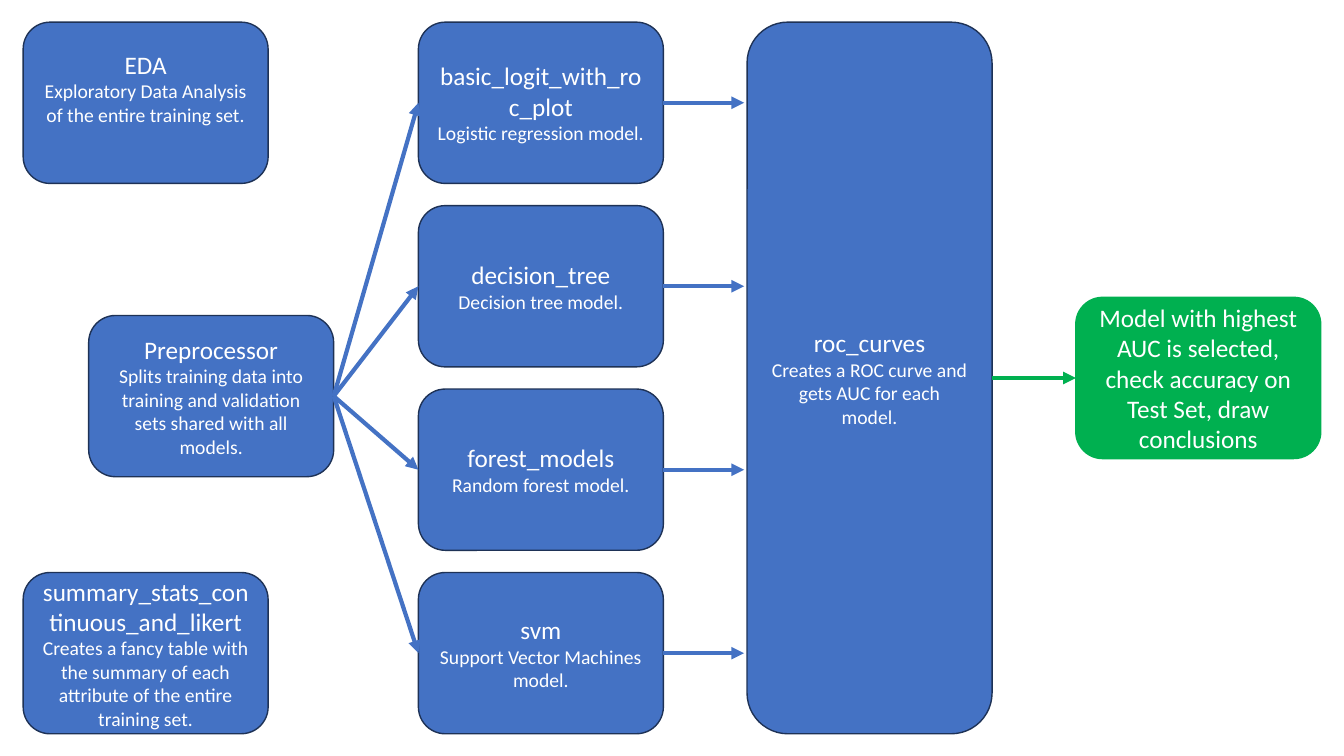
from lxml import etree
from pptx import Presentation
from pptx.dml.color import RGBColor
from pptx.enum import shapes, text
from pptx.oxml import ns
from pptx.util import Inches, Pt

BLUE = RGBColor(0x44, 0x72, 0xC4)
NAVY = RGBColor(0x1E, 0x32, 0x56)
GREEN = RGBColor(0x00, 0xB0, 0x50)
WHITE = RGBColor(0xFF, 0xFF, 0xFF)

EDA = ("EDA", "Exploratory Data Analysis of the entire training set.")
SUMMARY = ("summary_stats_continuous_and_likert",
           "Creates a fancy table with the summary of each attribute of the entire training set.")
PREPROCESSOR = ("Preprocessor",
                "Splits training data into training and validation sets shared with all models.")
MODELS = [
    ("basic_logit_with_roc_plot", "Logistic regression model."),
    ("decision_tree", "Decision tree model."),
    ("forest_models", "Random forest model."),
    ("svm", "Support Vector Machines model."),
]
ROC = ("roc_curves", "Creates a ROC curve and gets AUC for each model.")
CONCLUSION = ("Model with highest AUC is selected, check accuracy on Test Set, draw conclusions",)

BOX_W, BOX_H = 2.43, 1.6
TOP, ROW_STEP = 0.22, 1.82
SIDE_X, PREPROCESSOR_X, MODEL_X, ROC_X, CONCLUSION_X = 0.23, 0.88, 4.15, 7.41, 10.67
ROC_H = (len(MODELS) - 1) * ROW_STEP + BOX_H
ROC_GAP = 0.03
LEFT_SITE, RIGHT_SITE = 1, 3
SIZES = (18, 14)

deck = Presentation()
deck.slide_width, deck.slide_height = Inches(13.33), Inches(7.5)
slide = deck.slides.add_slide(deck.slide_layouts[6])


def add_step(content, left, top, height=BOX_H, fill=BLUE, outline=NAVY, bottom=0.05):
    step = slide.shapes.add_shape(shapes.MSO_SHAPE.ROUNDED_RECTANGLE, Inches(left),
                                  Inches(top), Inches(BOX_W), Inches(height))
    step.shadow.inherit = False
    step.fill.solid()
    step.fill.fore_color.rgb = fill
    step.line.color.rgb = outline
    step.line.width = Pt(1)
    frame = step.text_frame
    frame_format = {"word_wrap": True, "vertical_anchor": text.MSO_ANCHOR.MIDDLE,
                    "margin_bottom": Inches(bottom)}
    for name, value in frame_format.items():
        setattr(frame, name, value)
    for index, (words, size) in enumerate(zip(content, SIZES)):
        line = frame.add_paragraph() if index else frame.paragraphs[0]
        line.alignment = text.PP_ALIGN.CENTER
        run = line.add_run()
        run.text = words
        for name, value in {"name": "Calibri", "size": Pt(size)}.items():
            setattr(run.font, name, value)
        run.font.color.rgb = WHITE
    return step


def add_arrow(source, target=None, end=(0, 0), color=BLUE):
    arrow = slide.shapes.add_connector(shapes.MSO_CONNECTOR.STRAIGHT, 0, 0, *end)
    arrow.begin_connect(source, RIGHT_SITE)
    if target is not None:
        arrow.end_connect(target, LEFT_SITE)
    arrow.line.color.rgb = color
    arrow.line.width = Pt(3)
    etree.SubElement(arrow.line._get_or_add_ln(), ns.qn("a:tailEnd"), type="triangle")
    etree.SubElement(arrow._element.spPr, ns.qn("a:effectLst"))


add_step(EDA, SIDE_X, TOP, bottom=0.35)
add_step(SUMMARY, SIDE_X, TOP + 3 * ROW_STEP)
preprocessor = add_step(PREPROCESSOR, PREPROCESSOR_X, 3.13)
roc = add_step(ROC, ROC_X, TOP, height=ROC_H)
conclusion = add_step(CONCLUSION, CONCLUSION_X, TOP + (ROC_H - BOX_H) / 2,
                      fill=GREEN, outline=GREEN)

for row, content in enumerate(MODELS):
    top = TOP + row * ROW_STEP
    model = add_step(content, MODEL_X, top)
    add_arrow(preprocessor, model)
    add_arrow(model, end=(Inches(ROC_X - ROC_GAP), Inches(top + BOX_H / 2)))

add_arrow(roc, conclusion, color=GREEN)

deck.save("out.pptx")
